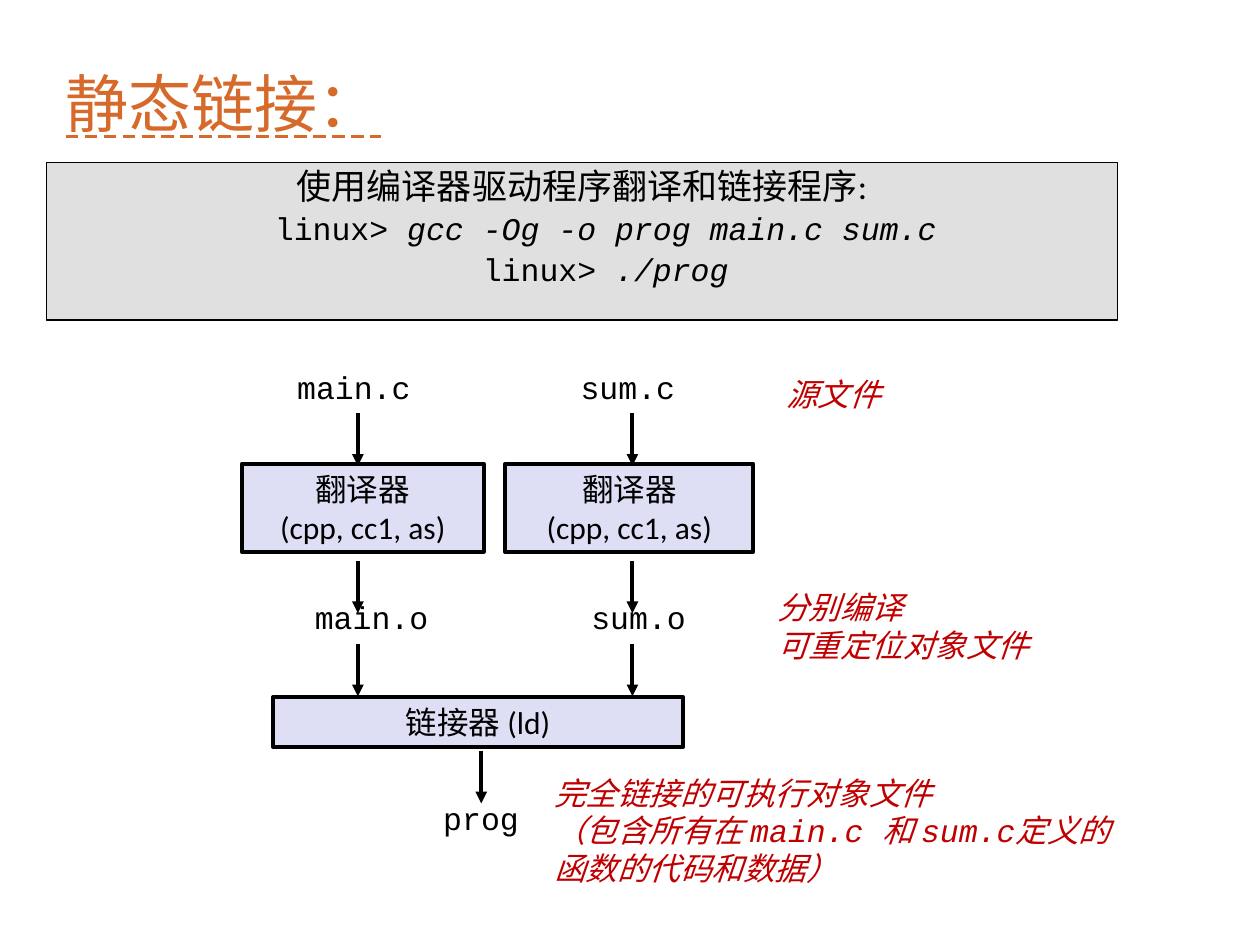
from dataclasses import dataclass

import pptx
import pptx.dml.color
import pptx.enum.dml
import pptx.enum.shapes
import pptx.enum.text
import pptx.oxml.ns
import pptx.util
from lxml import etree

Pt = pptx.util.Pt
ALIGN = pptx.enum.text.PP_ALIGN
ANCHOR = pptx.enum.text.MSO_ANCHOR
AUTO_SIZE = pptx.enum.text.MSO_AUTO_SIZE
RECTANGLE = pptx.enum.shapes.MSO_SHAPE.RECTANGLE
STRAIGHT = pptx.enum.shapes.MSO_CONNECTOR.STRAIGHT

COLORS = {
    "title": "D66A2B",
    "text": "000000",
    "note": "C00000",
    "command_fill": "E0E0E0",
    "command_line": "000004",
    "tool_fill": "DEDFF5",
}
SANS, MONO, CHINESE = "Calibri", "Courier New", "Noto Sans CJK SC"


@dataclass
class Box:
    left: float
    top: float
    width: float
    height: float


@dataclass
class Label:
    box: Box
    lines: list[str]
    font: str = MONO
    color: str = "text"
    italic: bool = False


@dataclass
class Arrow:
    x: float
    top: float


TRANSLATOR_LINES = ["翻译器", "(cpp, cc1, as)"]
TOOLS = [
    Label(Box(138.2, 265, 138.2, 50.4), TRANSLATOR_LINES, SANS),
    Label(Box(288.7, 265, 141.8, 50.4), TRANSLATOR_LINES, SANS),
    Label(Box(156.2, 398.2, 234, 28.8), ["链接器 (ld)"], SANS),
]
FILES = [
    Label(Box(162.7, 206.6, 79.9, 28.8), ["main.c"]),
    Label(Box(324.7, 206.6, 69.1, 28.8), ["sum.c"]),
    Label(Box(172.8, 338.4, 79.9, 28.8), ["main.o"]),
    Label(Box(330.8, 338.4, 69.1, 28.8), ["sum.o"]),
    Label(Box(246.2, 452.9, 58.3, 28.8), ["prog"]),
]
NOTES = [
    Label(Box(442.1, 211, 68.4, 28.8), ["源文件"], SANS, "note", True),
    Label(Box(437, 332.6, 158.4, 51.1), ["分别编译", "可重定位对象文件"], SANS, "note", True),
]
ARROW_LENGTH = 30
ARROWS = [Arrow(x, top) for x in (204.5, 361.4) for top in (236.2, 320.4, 367.9)]
ARROWS.append(Arrow(275, 429.1))


def rgb(name: str) -> pptx.dml.color.RGBColor:
    return pptx.dml.color.RGBColor.from_string(COLORS[name])


def place(shape, box: Box) -> None:
    shape.left, shape.top = Pt(box.left), Pt(box.top)
    shape.width, shape.height = Pt(box.width), Pt(box.height)


def paint(shape, fill: str, line: str, line_width: float) -> None:
    shape.fill.solid()
    shape.fill.fore_color.rgb = rgb(fill)
    shape.line.color.rgb = rgb(line)
    shape.line.width = Pt(line_width)


def set_font(font, name: str | None, size: float = 18, color: str = "text",
             italic: bool | None = None) -> None:
    font.size = Pt(size)
    font.color.rgb = rgb(color)
    font.italic = italic
    if name:
        font.name = name


def next_paragraph(frame, first: bool):
    return frame.paragraphs[0] if first else frame.add_paragraph()


def write_lines(frame, label: Label, alignment) -> None:
    for index, line in enumerate(label.lines):
        paragraph = next_paragraph(frame, index == 0)
        paragraph.text = line
        paragraph.alignment = alignment
        set_font(paragraph.font, label.font, color=label.color, italic=label.italic)


def add_tool(slide, label: Label) -> None:
    box = label.box
    shape = slide.shapes.add_shape(RECTANGLE, Pt(box.left), Pt(box.top),
                                   Pt(box.width), Pt(box.height))
    shape.shadow.inherit = False
    paint(shape, "tool_fill", "text", 2.25)
    shape.text_frame.vertical_anchor = ANCHOR.TOP
    write_lines(shape.text_frame, label, ALIGN.CENTER)


def add_text_box(slide, box: Box, wrap: bool = False):
    shape = slide.shapes.add_textbox(Pt(box.left), Pt(box.top),
                                     Pt(box.width), Pt(box.height))
    shape.text_frame.word_wrap = wrap
    return shape.text_frame


def add_arrow(slide, arrow: Arrow) -> None:
    connector = slide.shapes.add_connector(
        STRAIGHT, Pt(arrow.x), Pt(arrow.top), Pt(arrow.x), Pt(arrow.top + ARROW_LENGTH))
    connector.line.color.rgb = rgb("text")
    connector.line.width = Pt(2.25)
    qn = pptx.oxml.ns.qn
    etree.SubElement(connector.line._get_or_add_ln(), qn("a:tailEnd"), type="triangle")
    etree.SubElement(connector._element.spPr, qn("a:effectLst"))


def fill_title(title) -> None:
    place(title, Box(27.4, 25.2, 200.2, 59))
    frame = title.text_frame
    frame.text = "静态链接："
    frame.vertical_anchor = ANCHOR.BOTTOM
    frame.auto_size = AUTO_SIZE.NONE
    paragraph = frame.paragraphs[0]
    paragraph.alignment = ALIGN.CENTER
    paragraph.line_spacing = 0.9
    font = paragraph.font
    set_font(font, CHINESE, 36, "title")
    font.underline = pptx.enum.text.MSO_UNDERLINE.DASH_LINE
    etree.SubElement(font._element, pptx.oxml.ns.qn("a:ea"), typeface=CHINESE)


def fill_commands(body) -> None:
    place(body, Box(26.6, 92.9, 612, 90))
    paint(body, "command_fill", "command_line", 0.75)
    frame = body.text_frame
    frame.auto_size = AUTO_SIZE.NONE
    frame.vertical_anchor = ANCHOR.TOP
    frame.text = "使用编译器驱动程序翻译和链接程序:"
    set_font(frame.paragraphs[0].font, SANS, 20)
    for command in ("gcc -Og -o prog main.c sum.c", "./prog"):
        paragraph = frame.add_paragraph()
        paragraph.level = 1
        properties = paragraph._p.get_or_add_pPr()
        properties.set("marL", str(Pt(27)))
        properties.set("indent", "0")
        paragraph.space_before = Pt(3.8)
        set_font(paragraph.font, MONO)
        paragraph.add_run().text = "linux> "
        run = paragraph.add_run()
        run.text = command
        run.font.italic = True
    for paragraph in frame.paragraphs:
        paragraph.alignment = ALIGN.CENTER
        paragraph.line_spacing = 0.9
    frame.paragraphs[0].space_before = Pt(0)


def add_executable_note(slide) -> None:
    frame = add_text_box(slide, Box(309.6, 438.5, 339.1, 94.3), wrap=True)
    lines = [
        [("完全链接的可执行对象文件", SANS)],
        [("（包含所有在 ", SANS), ("main.c 和 sum.c定义的", MONO)],
        [("函数的代码和数据）", SANS)],
    ]
    for index, spans in enumerate(lines):
        paragraph = next_paragraph(frame, index == 0)
        set_font(paragraph.font, None, color="note", italic=True)
        for text, font_name in spans:
            run = paragraph.add_run()
            run.text = text
            run.font.name = font_name


def main() -> None:
    presentation = pptx.Presentation()
    presentation.slide_width, presentation.slide_height = Pt(720), Pt(540)
    slide = presentation.slides.add_slide(presentation.slide_layouts[0])

    # Title and commands
    fill_title(slide.shapes.title)
    fill_commands(slide.placeholders[1])

    # Build pipeline
    for tool in TOOLS:
        add_tool(slide, tool)
    for arrow in ARROWS:
        add_arrow(slide, arrow)

    # File names and notes
    for label in FILES + NOTES:
        write_lines(add_text_box(slide, label.box), label, ALIGN.LEFT)
    add_executable_note(slide)

    presentation.save("out.pptx")


if __name__ == "__main__":
    main()
